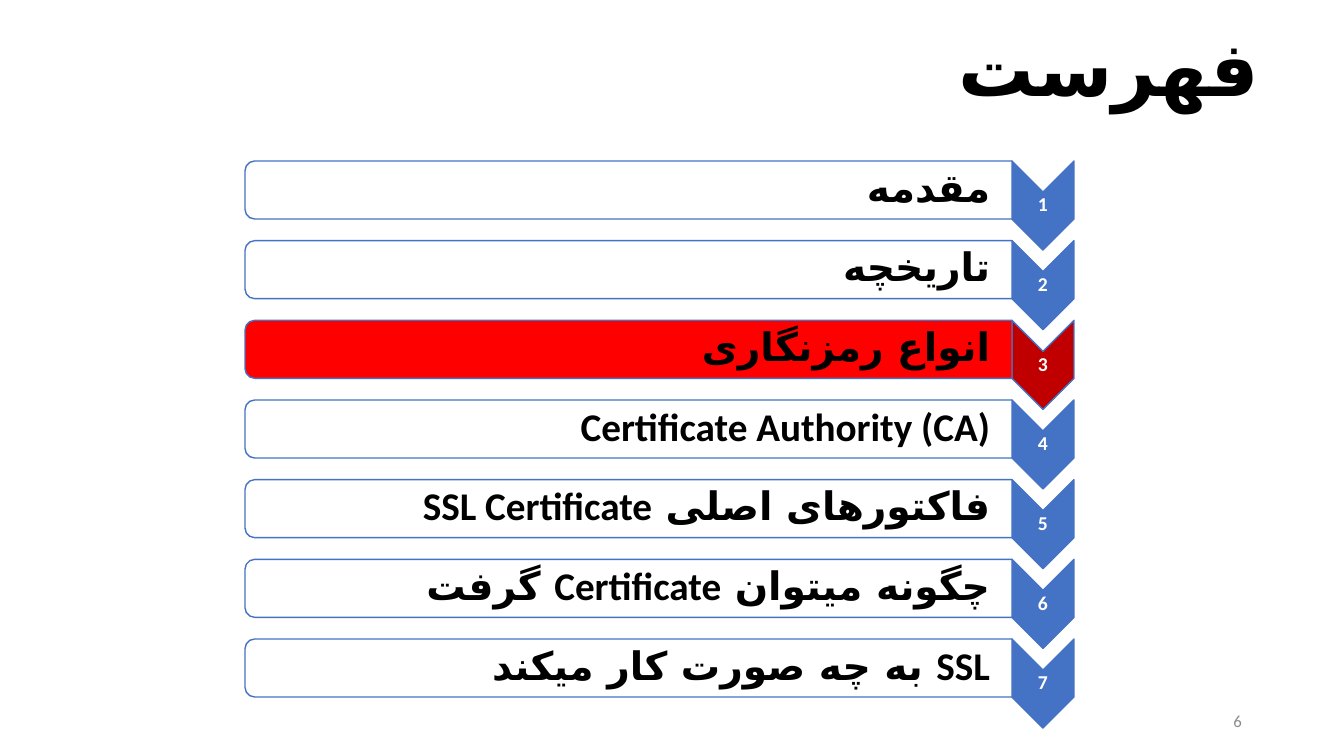
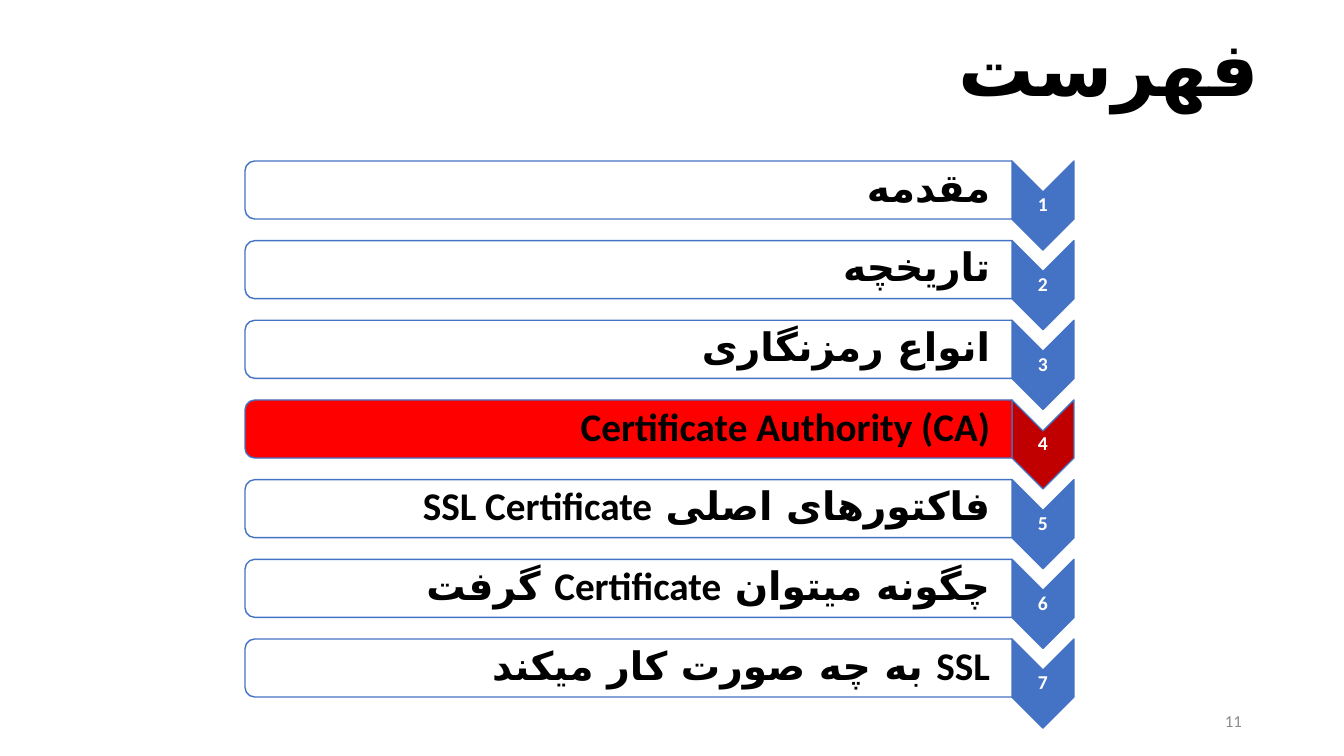
import pptx
import pptx.util
import pptx.dml.color
import pptx.enum.shapes
import pptx.enum.text

FONT = "Calibri"
SCRIPT = "DejaVu Sans"  # draws the Persian letters, which Calibri lacks
BLACK, WHITE, GRAY = "000000", "FFFFFF", "8C8C8C"
BLUE, RED, DARK = "4472C4", "FF0000", "C00000"

KIND = pptx.enum.shapes.MSO_SHAPE
ALIGN = pptx.enum.text.PP_ALIGN

TITLE = "فهرست"
TOPICS = [
    "مقدمه",
    "تاریخچه",
    "انواع رمزنگاری",
    "Certificate Authority (CA)",
    "فاکتورهای اصلی SSL Certificate",
    "چگونه میتوان Certificate گرفت",
    "SSL به چه صورت کار میکند",
]
# Page number and active topic of each slide
PAGES = [(6, 3), (11, 4)]


def px(n):
    return pptx.util.Emu(round(n * 914400 / 100.8))


def color(code):
    return pptx.dml.color.RGBColor.from_string(code)


def write(slide, text, box, size=28, ink=BLACK, bold=True,
          align=ALIGN.RIGHT, rtl=False, lead=0.9, pad=(10, 5, 10, 5)):
    frame = slide.shapes.add_textbox(*map(px, box)).text_frame
    frame.word_wrap = True
    frame.vertical_anchor = pptx.enum.text.MSO_ANCHOR.MIDDLE
    (frame.margin_left, frame.margin_top,
     frame.margin_right, frame.margin_bottom) = map(px, pad)
    para = frame.paragraphs[0]
    para.alignment = align
    para.line_spacing = lead
    if rtl:
        para._p.get_or_add_pPr().set("rtl", "1")
    run = para.add_run()
    run.text = text
    font = run.font
    font.name, font.size, font.bold = FONT, pptx.util.Pt(size), bold
    font.color.rgb = color(ink)
    # Typeface for the Persian letters
    face = pptx.oxml.xmlchemy.OxmlElement("a:cs")
    face.set("typeface", SCRIPT)
    run._r.get_or_add_rPr().append(face)


def turned(slide, kind, box, angle, fill):
    """Add a shape that fills the box after a quarter turn."""
    x, y, w, h = box
    left, top = x + (w - h) / 2, y + (h - w) / 2
    shape = slide.shapes.add_shape(kind, px(left), px(top), px(h), px(w))
    shape.rotation = angle
    shape.shadow.inherit = False
    shape.fill.solid()
    shape.fill.fore_color.rgb = color(fill)
    shape.line.color.rgb = color(BLUE)
    shape.line.width = pptx.util.Pt(1)


def topic(slide, num, text, box, active):
    x, y, w, h = box
    tip, bar = 62, 58
    edge = x + w - tip
    # Arrow with its number
    turned(slide, KIND.CHEVRON, (edge, y, tip, h), 90,
           DARK if active else BLUE)
    write(slide, str(num), (edge, y + 31, tip, 27), size=14, ink=WHITE,
          align=ALIGN.CENTER, pad=(1, 1, 1, 1))
    # Bar with its topic
    turned(slide, KIND.ROUND_2_SAME_RECTANGLE, (x, y, w - tip, bar), 270,
           RED if active else WHITE)
    write(slide, text, (x + 3, y + 2, w - tip - 3, bar - 5), rtl=True,
          pad=(2, 2, 22, 2))


def topics(slide, box, active):
    x, y, w, h = box
    high = 89
    step = (h - high) / (len(TOPICS) - 1)
    for i, text in enumerate(TOPICS):
        topic(slide, i + 1, text, (x, y + i * step, w, high),
              i + 1 == active)


def agenda(deck, page, active):
    slide = deck.slides.add_slide(deck.slide_layouts[6])
    write(slide, TITLE, (160, 26, 1109, 93), size=54, rtl=True)
    write(slide, str(page), (950, 701, 302, 40), size=12, ink=GRAY,
          bold=False, lead=1.0)
    topics(slide, (245, 161, 829, 567), active)


def main():
    deck = pptx.Presentation()
    deck.slide_width, deck.slide_height = px(1344), px(756)
    for page, active in PAGES:
        agenda(deck, page, active)
    deck.save("out.pptx")


if __name__ == "__main__":
    main()
